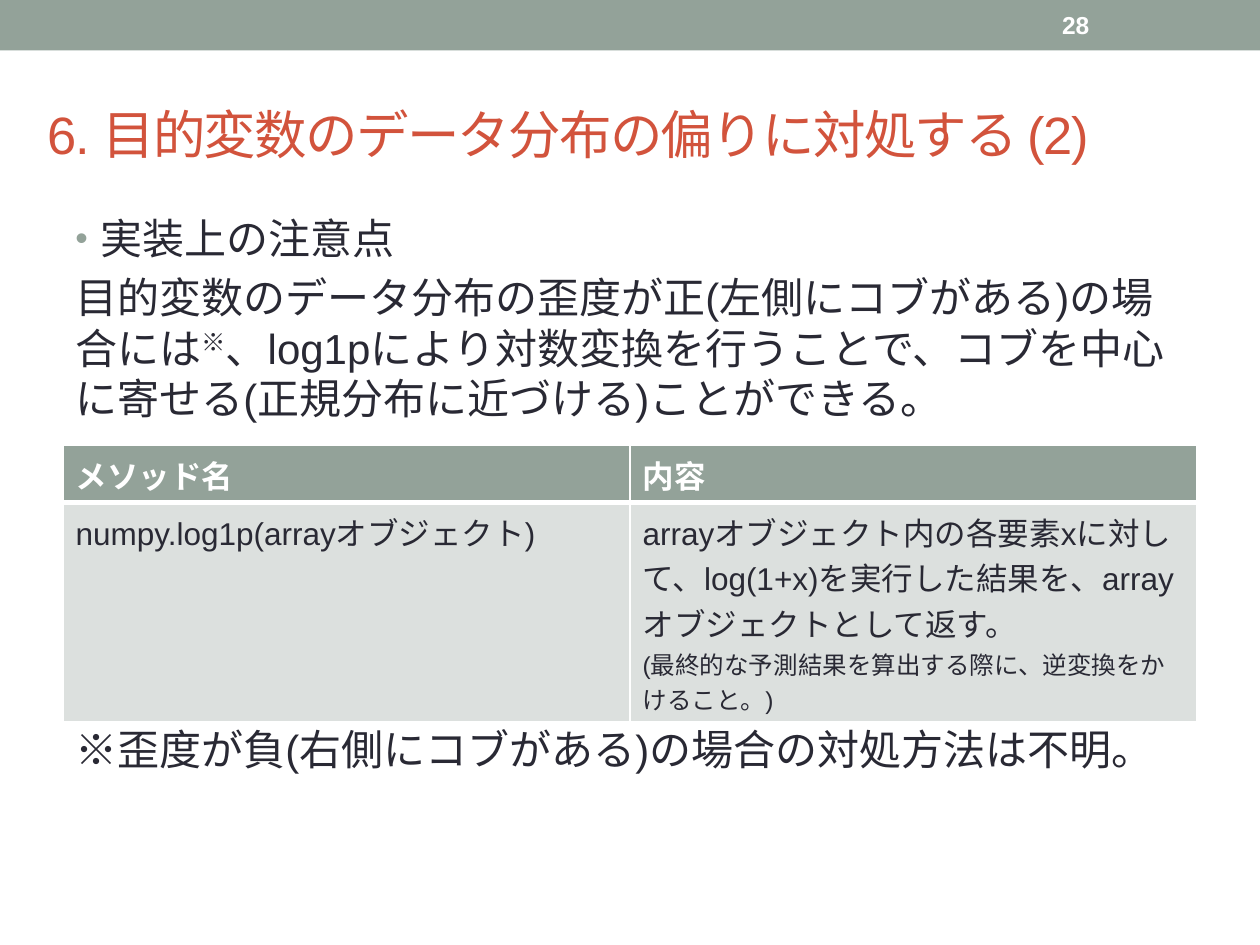
"""Build the slide about correcting a skewed target variable."""
from dataclasses import dataclass

from lxml import etree
from pptx import Presentation
from pptx.dml.color import RGBColor
from pptx.enum.shapes import MSO_SHAPE
from pptx.enum.text import MSO_ANCHOR
from pptx.oxml.ns import qn
from pptx.util import Cm, Pt

RECTANGLE = MSO_SHAPE.RECTANGLE
TOP, MIDDLE = MSO_ANCHOR.TOP, MSO_ANCHOR.MIDDLE
SAGE = RGBColor(0x93, 0xA2, 0x99)
PALE_SAGE = RGBColor(0xDC, 0xE0, 0xDE)
RED = RGBColor(0xD2, 0x53, 0x3C)
INK = RGBColor(0x29, 0x29, 0x34)
WHITE = RGBColor(0xFF, 0xFF, 0xFF)
FONT = "Arial"


@dataclass(frozen=True)
class Run:
    text: str
    size: float
    color: RGBColor = INK
    bold: bool = False
    attributes: tuple = ()


@dataclass(frozen=True)
class Paragraph:
    runs: tuple
    space_before: float = 0
    bullet: bool = False


@dataclass(frozen=True)
class TextBlock:
    left: float
    top: float
    width: float
    height: float
    anchor: MSO_ANCHOR
    paragraphs: tuple


@dataclass(frozen=True)
class Cell:
    paragraphs: tuple
    fill: RGBColor
    bottom_border: float


def add_bullet(paragraph) -> None:
    properties = paragraph._p.get_or_add_pPr()
    properties.set("marL", str(Cm(0.51)))
    properties.set("indent", str(-Cm(0.51)))
    color = etree.SubElement(properties, qn("a:buClr"))
    etree.SubElement(color, qn("a:srgbClr"), val=str(SAGE))
    etree.SubElement(properties, qn("a:buSzPct"), val="85000")
    etree.SubElement(properties, qn("a:buFont"), typeface=FONT)
    etree.SubElement(properties, qn("a:buChar"), char="•")


def write_paragraphs(text_frame, paragraphs: tuple) -> None:
    for index, content in enumerate(paragraphs):
        paragraph = text_frame.add_paragraph() if index else text_frame.paragraphs[0]
        paragraph.space_before = Pt(content.space_before)
        if content.bullet:
            add_bullet(paragraph)
        for item in content.runs:
            run = paragraph.add_run()
            run.text = item.text
            run.font.name = FONT
            run.font.size = Pt(item.size)
            run.font.bold = item.bold
            run.font.color.rgb = item.color
            for name, value in item.attributes:
                run._r.get_or_add_rPr().set(name, value)


def add_text_block(slide, block: TextBlock) -> None:
    shape = slide.shapes.add_textbox(
        Cm(block.left), Cm(block.top), Cm(block.width), Cm(block.height))
    shape.text_frame.word_wrap = True
    shape.text_frame.vertical_anchor = block.anchor
    write_paragraphs(shape.text_frame, block.paragraphs)


def add_border(cell, side: str, width: float) -> None:
    line = etree.SubElement(cell._tc.get_or_add_tcPr(), qn(f"a:ln{side}"), w=str(Pt(width)))
    fill = etree.SubElement(line, qn("a:solidFill"))
    etree.SubElement(fill, qn("a:srgbClr"), val=str(WHITE))


def add_method_table(slide, rows: tuple, heights: tuple) -> None:
    frame = slide.shapes.add_table(
        len(rows), len(rows[0]), Cm(1.27), Cm(8.98), Cm(22.86), Cm(sum(heights)))
    table = frame.table
    for row_index, (contents, height) in enumerate(zip(rows, heights)):
        table.rows[row_index].height = Cm(height)
        top_border = rows[row_index - 1][0].bottom_border if row_index else 1
        for column_index, content in enumerate(contents):
            cell = table.cell(row_index, column_index)
            borders = {"L": 1, "R": 1, "T": top_border, "B": content.bottom_border}
            for side, width in borders.items():
                add_border(cell, side, width)
            cell.fill.solid()
            cell.fill.fore_color.rgb = content.fill
            write_paragraphs(cell.text_frame, content.paragraphs)


def header_cell(text: str) -> Cell:
    return Cell((Paragraph((Run(text, 18, WHITE, True),)),), SAGE, 3)


def body_cell(*runs: Run) -> Cell:
    return Cell(tuple(Paragraph((run,)) for run in runs), PALE_SAGE, 1)


TITLE = TextBlock(0.71, 1.32, 24, 2.74, MIDDLE, (
    Paragraph((Run("6. 目的変数のデータ分布の偏りに対処する (2)", 30, RED,
                   attributes=(("spc", "-100"),)),)),
))
BODY = TextBlock(1.27, 4.16, 22.86, 13.54, TOP, (
    Paragraph((Run("実装上の注意点", 24),), bullet=True),
    Paragraph((
        Run("目的変数のデータ分布の歪度が正(左側にコブがある)の場合には", 24),
        Run("※", 24, attributes=(("baseline", "30000"),)),
        Run("、log1pにより対数変換を行うことで、コブを中心に寄せる"
            "(正規分布に近づける)ことができる。", 24),
    ), space_before=5),
    Paragraph((Run("※歪度が負(右側にコブがある)の場合の対処方法は不明。", 24),),
              space_before=172),
))
PAGE_NUMBER = TextBlock(21.16, 0.05, 2.97, 0.91, MIDDLE, (
    Paragraph((Run("28", 14, WHITE, True),)),
))
METHOD_ROWS = (
    (header_cell("メソッド名"), header_cell("内容")),
    (
        body_cell(Run("numpy.log1p(arrayオブジェクト)", 18)),
        body_cell(
            Run("arrayオブジェクト内の各要素xに対して、log(1+x)を実行した結果を、"
                "arrayオブジェクトとして返す。", 18),
            Run("(最終的な予測結果を算出する際に、逆変換をかけること。)", 14),
        ),
    ),
)


def main() -> None:
    presentation = Presentation()
    presentation.slide_width = Cm(25.4)
    presentation.slide_height = Cm(19.05)
    slide = presentation.slides.add_slide(presentation.slide_layouts[6])
    band = slide.shapes.add_shape(RECTANGLE, 0, 0, presentation.slide_width, Cm(1.02))
    band.shadow.inherit = False
    band.fill.solid()
    band.fill.fore_color.rgb = SAGE
    band.line.fill.background()
    for block in (TITLE, BODY, PAGE_NUMBER):
        add_text_block(slide, block)
    add_method_table(slide, METHOD_ROWS, (1.15, 4.43))
    presentation.save("out.pptx")


main()
